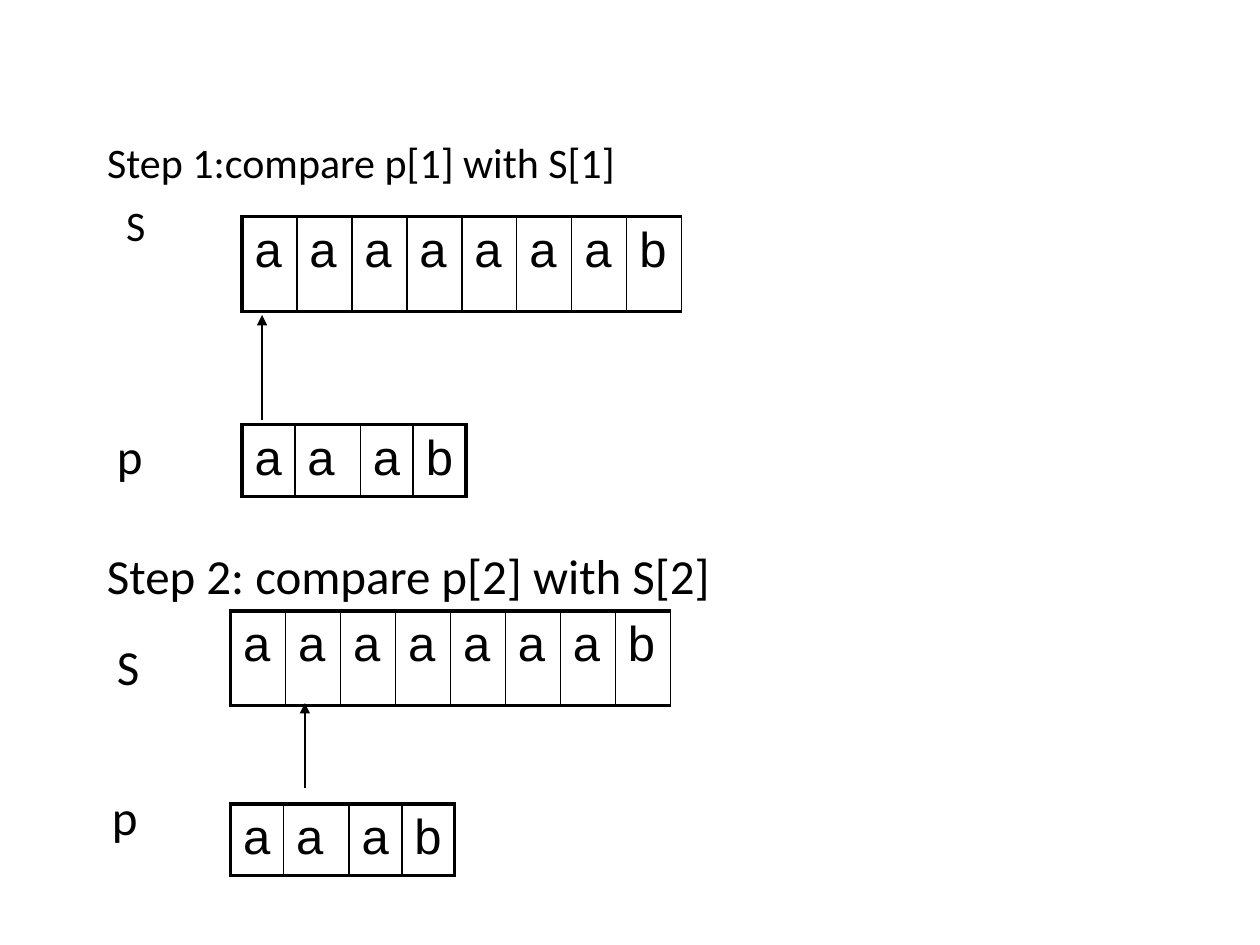
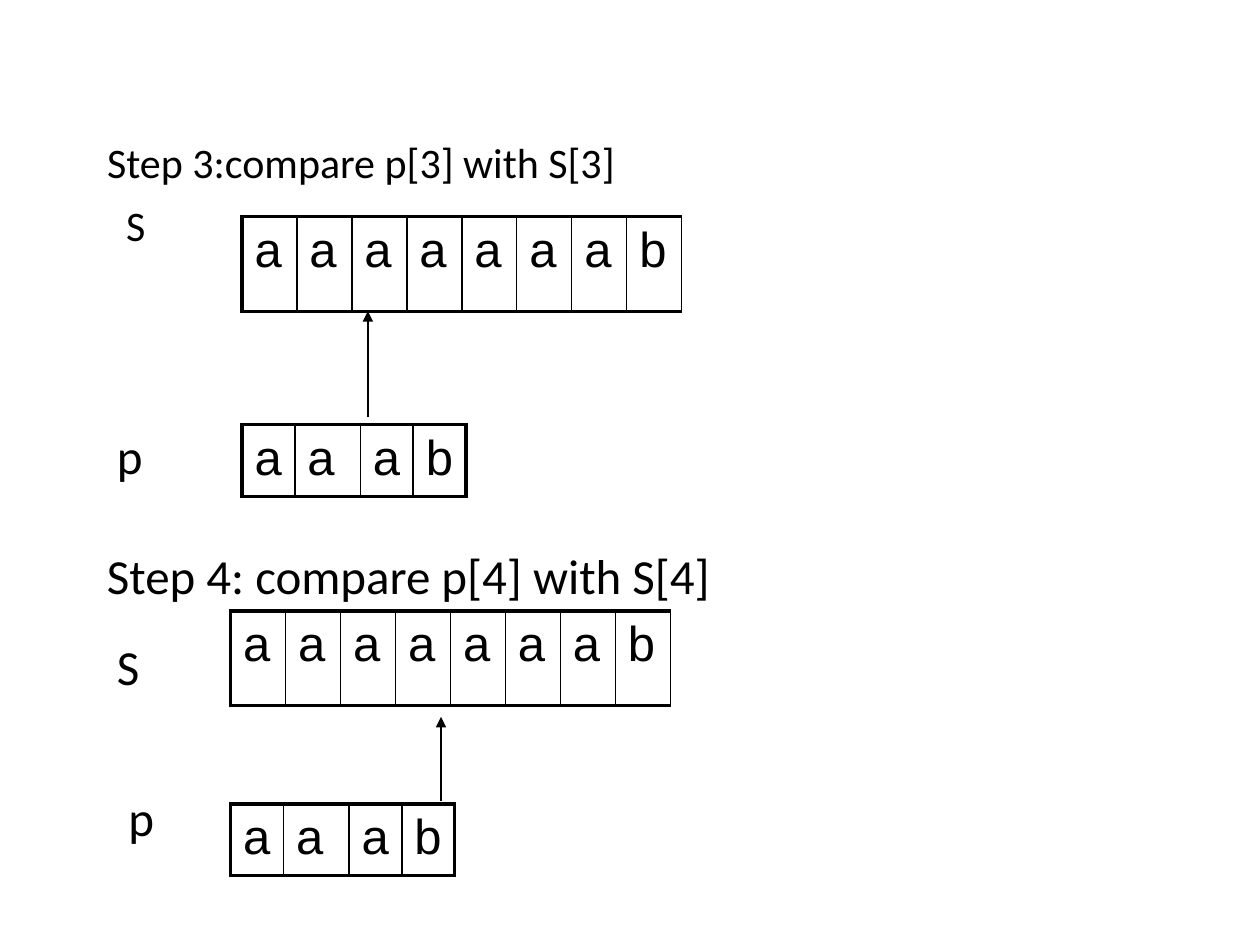
from lxml import etree
from pptx import Presentation
from pptx import util as u
from pptx.dml.color import RGBColor
from pptx.enum import shapes, text
from pptx.oxml import ns

BLACK = "000000"
BODY = {"name": "Calibri", "size": u.Pt(24)}
LABEL = {"name": "Calibri", "size": u.Pt(28)}
LETTER = {"name": "Arial", "size": u.Pt(28)}
THICK, THIN = 2.25, 1
STRING = "aaaaaaab"
PATTERN = "aaab"
STRING_COLS = [3.49 / len(STRING)] * len(STRING)
PATTERN_COLS = [0.42, 0.52, 0.42, 0.42]


def color(hex_code):
    """Turn a hex string into a colour."""
    return RGBColor.from_string(hex_code)


def style(font, look):
    """Apply a dict of font values in black."""
    for name, value in look.items():
        setattr(font, name, value)
    font.color.rgb = color(BLACK)


def child(parent, tag, **attributes):
    """Append a DrawingML element to its parent."""
    return etree.SubElement(parent, ns.qn(tag), attributes)


def add_heading(slide, lines):
    """Fill the subtitle with the first step and its string label."""
    slide.shapes.title.element.getparent().remove(slide.shapes.title.element)
    heading = slide.placeholders[1]
    heading.left, heading.top = u.Inches(0.75), u.Inches(1.08)
    heading.width, heading.height = u.Inches(8.58), u.Inches(5.92)
    frame = heading.text_frame
    frame.text = "\n".join(lines)
    frame.vertical_anchor = text.MSO_ANCHOR.TOP
    layout = {"alignment": text.PP_ALIGN.LEFT, "line_spacing": 0.9,
              "space_before": u.Pt(10)}
    for paragraph in frame.paragraphs:
        for name, value in layout.items():
            setattr(paragraph, name, value)
        style(paragraph.runs[0].font, BODY)
    frame.paragraphs[1].runs[0].font.size = BODY["size"]
    properties = frame.paragraphs[1]._p.get_or_add_pPr()
    properties.set("marL", str(u.Inches(0.15)))
    properties.set("indent", "0")


def add_label(slide, words, left, top, width):
    """Add a one-line label that does not wrap."""
    box = slide.shapes.add_textbox(u.Inches(left), u.Inches(top),
                                   u.Inches(width), u.Inches(0.57))
    frame = box.text_frame
    frame.text = words
    frame.word_wrap = False
    frame.auto_size = text.MSO_AUTO_SIZE.SHAPE_TO_FIT_TEXT
    style(frame.paragraphs[0].runs[0].font, LABEL)


def add_arrow(slide, x, bottom, top):
    """Point an arrow upwards at the compared letter."""
    arrow = slide.shapes.add_connector(
        shapes.MSO_CONNECTOR.STRAIGHT, u.Inches(x), u.Inches(bottom),
        u.Inches(x), u.Inches(top))
    arrow.line.color.rgb = color(BLACK)
    arrow.line.width = u.Pt(0.75)
    child(arrow.line._get_or_add_ln(), "a:tailEnd", type="triangle")
    child(arrow._element.spPr, "a:effectLst")


def border(cell, widths):
    """Draw the left, right, top and bottom borders of a cell."""
    properties = cell._tc.get_or_add_tcPr()
    for side, width in zip("LRTB", widths):
        edge = child(properties, f"a:ln{side}", w=str(u.Pt(width)))
        child(child(edge, "a:solidFill"), "a:srgbClr", val=BLACK)


def add_letters(slide, letters, columns, left, top, height, right_edge):
    """Lay out letters as a one-row table."""
    table = slide.shapes.add_table(
        1, len(letters), u.Inches(left), u.Inches(top),
        u.Inches(sum(columns)), u.Inches(height)).table
    table.first_row = table.horz_banding = False
    last = len(letters) - 1
    for i, (letter, width) in enumerate(zip(letters, columns)):
        table.columns[i].width = u.Inches(width)
        cell = table.cell(0, i)
        cell.text = letter
        paragraph = cell.text_frame.paragraphs[0]
        spacing = child(paragraph._p.get_or_add_pPr(), "a:spcBef")
        child(spacing, "a:spcPct", val="20000")
        style(paragraph.runs[0].font, LETTER)
        border(cell, (THIN if i else THICK,
                      right_edge if i == last else THIN, THICK, THICK))
        cell.fill.background()


def add_tables(slide, left, string_top, pattern_top):
    """Place the string table above the pattern table."""
    add_letters(slide, STRING, STRING_COLS, left, string_top, 0.75, THIN)
    add_letters(slide, PATTERN, PATTERN_COLS, left, pattern_top, 0.57, THICK)


def add_steps(deck, step, arrows, lower_p):
    """Build a slide with two consecutive comparison steps."""
    slide = deck.slides.add_slide(deck.slide_layouts[0])
    following = step + 1
    add_heading(slide, [f"Step {step}:compare p[{step}] with S[{step}]", "S"])
    add_label(slide, "p", 0.83, 3.33, 0.42)
    add_label(slide, f"Step {following}: compare p[{following}] "
                     f"with S[{following}]", 0.75, 4.28, 5.05)
    add_label(slide, "S", 0.83, 5, 0.46)
    add_label(slide, "p", *lower_p, 0.42)
    for arrow in arrows:
        add_arrow(slide, *arrow)
    add_tables(slide, 1.92, 1.72, 3.37)
    add_tables(slide, 1.83, 4.85, 6.38)


def main():
    """Build and save the matching steps."""
    deck = Presentation()
    deck.slide_width, deck.slide_height = u.Inches(10), u.Inches(7.5)
    add_steps(deck, 1, [(2.08, 3.33, 2.5), (2.42, 6.25, 5.58)], (0.79, 6.19))
    add_steps(deck, 3, [(2.92, 3.31, 2.47), (3.5, 6.36, 5.69)], (0.92, 6.2))
    deck.save("out.pptx")


main()
